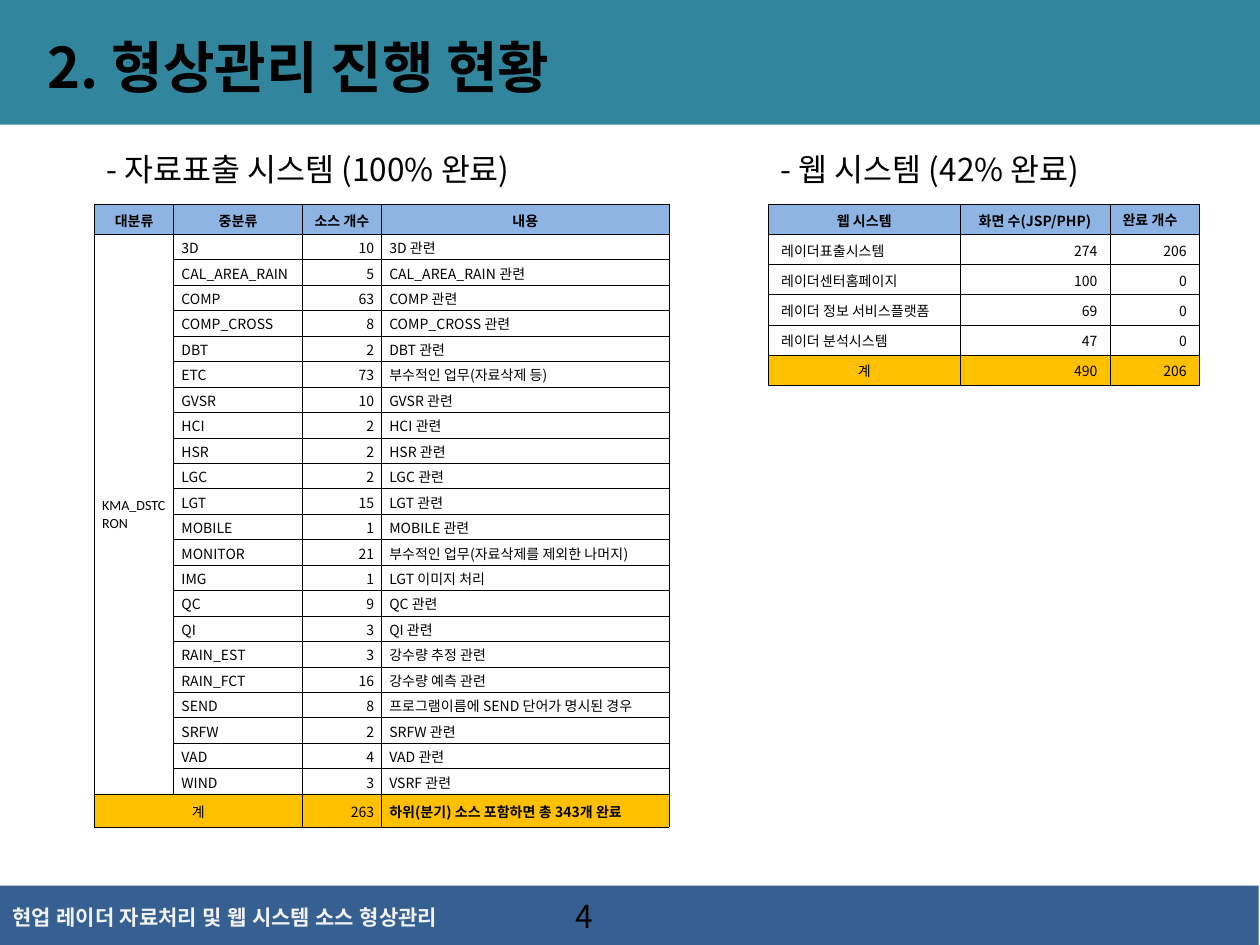
from dataclasses import dataclass

from lxml.etree import SubElement
from pptx import Presentation
from pptx.dml.color import RGBColor
from pptx.enum.shapes import MSO_SHAPE as Shape
from pptx.enum.text import MSO_ANCHOR as Anchor, PP_ALIGN as Align
from pptx.oxml.ns import qn
from pptx.util import Inches, Pt

COLORS = {
    "title_band": "31859C", "footer_band": "376092", "footer_text": "F2F2F2",
    "text": "000000", "header": "8EB4E3", "total": "FFC000",
}
FONT = "Noto Sans CJK KR"
L, C, R = Align.LEFT, Align.CENTER, Align.RIGHT


@dataclass
class Band:
    x: float
    y: float
    w: float
    h: float
    color: str


@dataclass
class Label:
    text: str
    x: float
    y: float
    w: float
    h: float
    size: float = 18
    bold: bool = False
    color: str = "text"
    font: str = FONT
    wrap: bool = True


@dataclass
class Grid:
    x: float
    y: float
    widths: list[float]
    heights: list[float]
    rows: list[tuple]
    aligns: list[Align]
    margin_x: float
    body_margin_y: float


BANDS = [
    Band(0, 0, 10, 0.99, "title_band"),
    Band(-0.01, 7.03, 10, 0.5, "footer_band"),
]
LABELS = [
    Label("현업 레이더 자료처리 및 웹 시스템 소스 형상관리", 0, 7.13, 4.47, 0.3, 12, True,
          "footer_text", "League Spartan"),
    Label("- 자료표출 시스템 (100% 완료)", 0.75, 1.14, 3.94, 0.4),
    Label("- 웹 시스템 (42% 완료)", 6.1, 1.14, 2.83, 0.4),
    Label("2. 형상관리 진행 현황", 0.28, 0.21, 4.64, 0.64, 32, True, wrap=False),
    Label("4", 4.47, 7.07, 2.33, 0.4),
]

SOURCE_COUNTS = {
    "3D": 10, "CAL_AREA_RAIN": 5, "COMP": 63, "COMP_CROSS": 8, "DBT": 2, "ETC": 73,
    "GVSR": 10, "HCI": 2, "HSR": 2, "LGC": 2, "LGT": 15, "MOBILE": 1, "MONITOR": 21,
    "IMG": 1, "QC": 9, "QI": 3, "RAIN_EST": 3, "RAIN_FCT": 16, "SEND": 8, "SRFW": 2,
    "VAD": 4, "WIND": 3,
}
SPECIAL_NOTES = {
    "ETC": "부수적인 업무(자료삭제 등)",
    "MONITOR": "부수적인 업무(자료삭제를 제외한 나머지)",
    "IMG": "LGT 이미지 처리",
    "RAIN_EST": "강수량 추정 관련",
    "RAIN_FCT": "강수량 예측 관련",
    "SEND": "프로그램이름에 SEND 단어가 명시된 경우",
    "WIND": "VSRF 관련",
}
N = len(SOURCE_COUNTS)
DISPLAY = Grid(
    0.75, 1.62, [0.63, 1.02, 0.63, 2.28], [0.24] + [0.2023] * N + [0.26],
    [("대분류", "중분류", "소스 개수", "내용")]
    + [("", name, count, SPECIAL_NOTES.get(name, f"{name} 관련"))
       for name, count in SOURCE_COUNTS.items()]
    + [("계", "", sum(SOURCE_COUNTS.values()), "하위(분기) 소스 포함하면 총 343개 완료")],
    [L, L, R, L], 0.06, 0.01)
WEB = Grid(
    6.1, 1.62, [1.52, 1.19, 0.71], [0.24] * 6,
    [("웹 시스템", "화면 수(JSP/PHP)", "완료 개수"),
     ("레이더표출시스템", 274, 206),
     ("레이더센터홈페이지", 100, 0),
     ("레이더 정보 서비스플랫폼", 69, 0),
     ("레이더 분석시스템", 47, 0),
     ("계", 490, 206)],
    [L, R, R], 0.1, 0.03)


def rgb(name: str) -> RGBColor:
    return RGBColor.from_string(COLORS[name])


def write(p, text: str, size: float, bold=False, color="text", font=FONT) -> None:
    """Add a run whose font also covers the Hangul."""
    r = p.add_run()
    r.text = text
    for key, value in {"size": Pt(size), "bold": bold, "name": font}.items():
        setattr(r.font, key, value)
    r.font.color.rgb = rgb(color)
    SubElement(r.font._element, qn("a:ea"), typeface=font)


def add_band(s, band: Band) -> None:
    sp = s.shapes.add_shape(Shape.RECTANGLE, *map(Inches, (band.x, band.y, band.w, band.h)))
    sp.shadow.inherit = False
    sp.fill.solid()
    sp.fill.fore_color.rgb = rgb(band.color)
    sp.line.fill.background()


def add_label(s, label: Label) -> None:
    sp = s.shapes.add_textbox(*map(Inches, (label.x, label.y, label.w, label.h)))
    tf = sp.text_frame
    tf.word_wrap = label.wrap
    write(tf.paragraphs[0], label.text, label.size, label.bold, label.color, label.font)


def set_borders(cell) -> None:
    """Put the four thin lines ahead of the fill, as the schema asks."""
    props = cell._tc.get_or_add_tcPr()
    for i, side in enumerate(("lnL", "lnR", "lnT", "lnB")):
        line = SubElement(props, qn(f"a:{side}"), w=str(Pt(0.5)))
        fill = SubElement(line, qn("a:solidFill"))
        SubElement(fill, qn("a:srgbClr"), val=COLORS["text"])
        props.insert(i, line)


def fill_cell(cell, text, align: Align, margins: tuple, fill: str = "",
              bold=False, font=FONT, anchor=Anchor.MIDDLE) -> None:
    mx, my = map(Inches, margins)
    for key, value in {"margin_left": mx, "margin_right": mx, "margin_top": my,
                       "margin_bottom": my, "vertical_anchor": anchor}.items():
        setattr(cell, key, value)
    p = cell.text_frame.paragraphs[0]
    p.alignment, p.line_spacing = align, 1.04
    if text != "":
        write(p, str(text), 8, bold, font=font)
    if fill:
        cell.fill.solid()
        cell.fill.fore_color.rgb = rgb(fill)
    else:
        cell.fill.background()
    set_borders(cell)


def add_grid(s, grid: Grid):
    last = len(grid.rows) - 1
    table = s.shapes.add_table(
        last + 1, len(grid.widths), Inches(grid.x), Inches(grid.y),
        Inches(sum(grid.widths)), Inches(sum(grid.heights))).table
    table.first_row = table.horz_banding = False
    for column, width in zip(table.columns, grid.widths):
        column.width = Inches(width)
    for i, (row, height) in enumerate(zip(grid.rows, grid.heights)):
        table.rows[i].height = Inches(height)
        fill = {0: "header", last: "total"}.get(i, "")
        margins = grid.margin_x, 0.03 if fill else grid.body_margin_y
        for j, text in enumerate(row):
            centred = i == 0 or (i == last and j == 0)
            bold = i == 0 or (i == last and j == 3)
            fill_cell(table.cell(i, j), text, C if centred else grid.aligns[j],
                      margins, fill, bold, anchor=Anchor.BOTTOM if i == 0 else Anchor.MIDDLE)
    return table


def main() -> None:
    prs = Presentation()
    prs.slide_width, prs.slide_height = Inches(10), Inches(7.5)
    s = prs.slides.add_slide(prs.slide_layouts[6])
    for band in BANDS:
        add_band(s, band)
    for label in LABELS:
        add_label(s, label)

    display = add_grid(s, DISPLAY)
    display.cell(1, 0).merge(display.cell(N, 0))
    write(display.cell(1, 0).text_frame.paragraphs[0], "KMA_DSTCRON", 8, font="Calibri")
    display.cell(N + 1, 0).merge(display.cell(N + 1, 1))

    web = add_grid(s, WEB)
    last_header = web.cell(0, 2)
    last_header.vertical_anchor = Anchor.MIDDLE
    last_header.text_frame.paragraphs[0].alignment = L
    prs.save("out.pptx")


if __name__ == "__main__":
    main()
